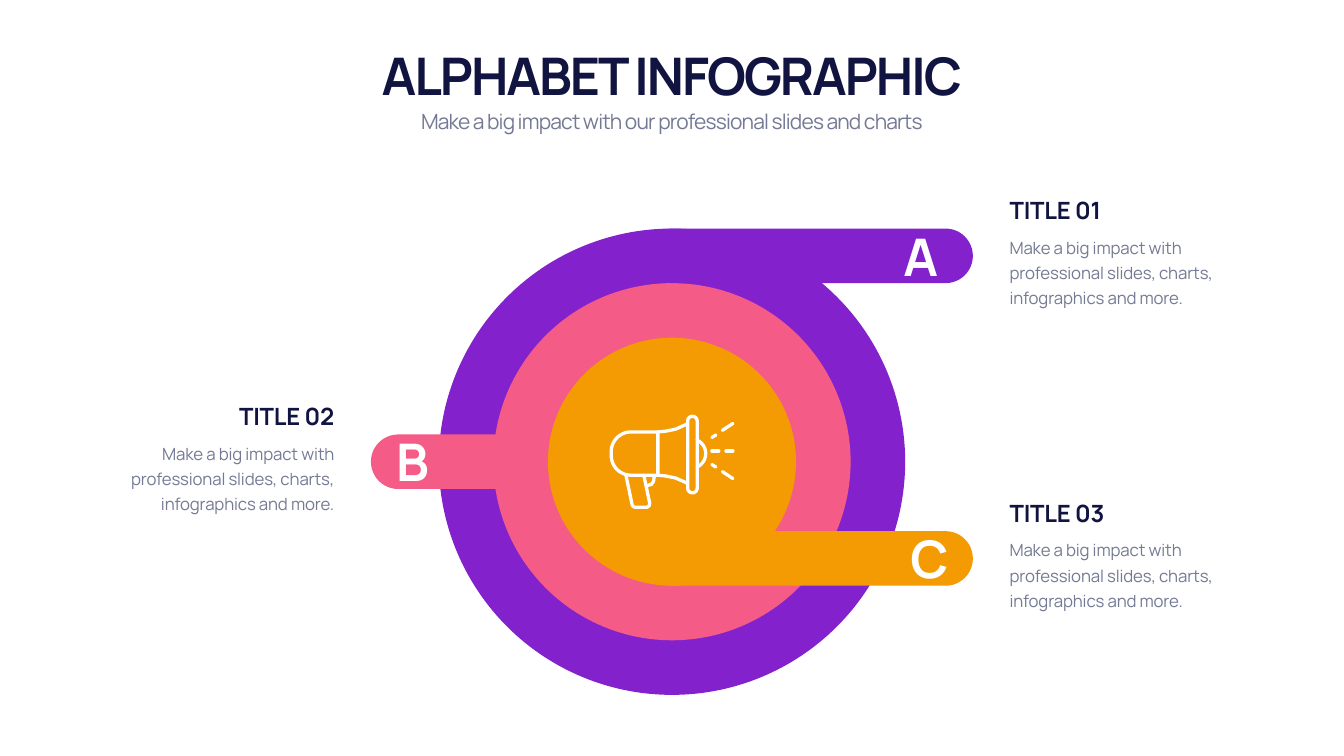
from math import cos, radians, sin

from pptx import Presentation
from pptx.dml.color import RGBColor
from pptx.enum.shapes import MSO_SHAPE
from pptx.enum.text import MSO_ANCHOR, MSO_AUTO_SIZE, PP_ALIGN
from pptx.util import Cm, Pt

NAVY, GREY, WHITE = "111340", "747A94", "FFFFFF"
PURPLE, PINK, ORANGE = "8322CC", "F55B87", "F49A02"
color = RGBColor.from_string


def write(box, place, text, size, hue, bold, spacing, align, anchor, leading=None):
    """Place a text holder (left, top, width, height in cm) and fill it with one run."""
    box.left, box.top, box.width, box.height = [Cm(length) for length in place]
    frame = box.text_frame
    frame.word_wrap = True
    frame.auto_size = MSO_AUTO_SIZE.SHAPE_TO_FIT_TEXT
    frame.vertical_anchor = anchor
    paragraph = frame.paragraphs[0]
    paragraph.alignment = align
    paragraph.space_before = Pt(0)
    if leading:
        paragraph.line_spacing = Pt(leading)
    run = paragraph.add_run()
    run.text = text
    run.font.name = "Manrope"
    run.font.size = Pt(size)
    run.font.bold = bold
    run.font.color.rgb = color(hue)
    run._r.get_or_add_rPr().set("spc", str(round(spacing * 100)))


def arc(x, y, radius, start, end, steps=12):
    """Points along a circular arc, angles in degrees."""
    angles = [radians(start + (end - start) * i / steps) for i in range(steps + 1)]
    return [(x + radius * cos(a), y + radius * sin(a)) for a in angles]


presentation = Presentation()
presentation.slide_width, presentation.slide_height = Cm(67.72), Cm(38.1)
slide = presentation.slides.add_slide(presentation.slide_layouts[0])
shapes = slide.shapes

# Concentric circles, each one band narrower than the last
center_x, center_y, band = 33.86, 23.27, 2.75
outer_radius = 11.75
for ring, hue in enumerate((PURPLE, PINK, ORANGE)):
    radius = outer_radius - ring * band
    disc = shapes.add_shape(MSO_SHAPE.OVAL, Cm(center_x - radius), Cm(center_y - radius),
                            Cm(2 * radius), Cm(2 * radius))
    disc.shadow.inherit = False
    disc.fill.solid()
    disc.fill.fore_color.rgb = color(hue)
    disc.line.fill.background()

# Arms of the letters: left, right, top, colour
arms = [
    (center_x - band / 2, 49.02, center_y - outer_radius, PURPLE),
    (center_x - band / 2, 49.02, center_y + outer_radius - 3 * band, ORANGE),
    (18.69, center_x - outer_radius + 2 * band, center_y - band / 2, PINK),
]
for left, right, top, hue in arms:
    arm = shapes.add_shape(MSO_SHAPE.ROUNDED_RECTANGLE, Cm(left), Cm(top),
                           Cm(right - left), Cm(band))
    arm.adjustments[0] = 0.5
    arm.shadow.inherit = False
    arm.fill.solid()
    arm.fill.fore_color.rgb = color(hue)
    arm.line.fill.background()

# The pink arm stays behind the orange disc
pink_arm = arm._element
disc._element.addprevious(pink_arm)

# Megaphone strokes in cm from the left end of its axis
axis_x, axis_y = 30.71, 22.86
bell = [(2.44, -1.09), (2.84, -1.13), (3.33, -1.23), (3.71, -1.4), (3.94, -1.5)]
strokes = [
    [(2.44, -1.09), *arc(1.08, -0.1, 0.99, 270, 180), *arc(1.08, 0.1, 0.99, 180, 90),
     (2.44, 1.09), (2.44, -1.09)],
    bell,
    [(x, -y) for x, y in bell],
    [*arc(4.18, -1.64, 0.24, 180, 360), *arc(4.18, 1.74, 0.24, 0, 180), (3.94, -1.64)],
    arc(4.1, 0, 0.75, -65, 65),
    [(0.83, 1.09), (1.14, 2.57), (1.18, 2.66), (1.28, 2.7), (1.9, 2.7),
     (2.0, 2.63), (2.03, 2.51), (1.73, 1.09)],
    [(1.93, 1.6), (2.12, 1.55), (2.22, 1.4), (2.25, 1.17)],
]
ray_axis = -0.13
for near, far in (((5.16, 0.68), (5.36, 0.81)), ((5.69, 1.04), (6.22, 1.39))):
    for side in (-1, 1):
        strokes.append([(x, ray_axis + side * y) for x, y in (near, far)])
for start, end in ((5.16, 5.51), (5.87, 6.22)):
    strokes.append([(start, ray_axis), (end, ray_axis)])

outline = None
for stroke in strokes:
    points = [(Cm(axis_x + x), Cm(axis_y + y)) for x, y in stroke]
    if outline is None:
        outline = shapes.build_freeform(*points[0])
    else:
        outline.move_to(*points[0])
    outline.add_line_segments(points[1:], close=False)
megaphone = outline.convert_to_shape()
megaphone.shadow.inherit = False
megaphone.fill.background()
megaphone.line.color.rgb = color(WHITE)
megaphone.line.width = Pt(4.7)
megaphone.line._get_or_add_ln().set("cap", "rnd")

# Heading
write(shapes.title, (4.22, 1.93, 59.26, 3.51), "ALPHABET INFOGRAPHIC",
      74, NAVY, True, -2.9, PP_ALIGN.CENTER, MSO_ANCHOR.BOTTOM, 94)
write(slide.placeholders[1], (4.22, 5.11, 59.26, 1.68),
      "Make a big impact with our professional slides and charts",
      30, GREY, False, -1.2, PP_ALIGN.CENTER, MSO_ANCHOR.TOP, 42)

# Letters on the arms
for letter, left, top in (("A", 44.7, 11.18), ("C", 45.14, 26.39), ("B", 19.1, 21.51)):
    write(shapes.add_textbox(0, 0, 0, 0), (left, top, 3.38, 3.43), letter,
          74, WHITE, True, -2.9, PP_ALIGN.CENTER, MSO_ANCHOR.MIDDLE)

# Captions beside the arms
captions = [
    ("TITLE 02", 4.17, 20.12, PP_ALIGN.RIGHT),
    ("TITLE 01", 50.62, 9.75, PP_ALIGN.LEFT),
    ("TITLE 03", 50.62, 24.99, PP_ALIGN.LEFT),
]
for caption, left, top, align in captions:
    write(shapes.add_textbox(0, 0, 0, 0), (left, top, 12.92, 1.7), caption,
          34, NAVY, True, -0.3, align, MSO_ANCHOR.BOTTOM)
    write(shapes.add_textbox(0, 0, 0, 0), (left, top + 1.85, 12.92, 4.01),
          "Make a big impact with professional slides, charts, infographics and more.",
          24, GREY, False, -0.2, align, MSO_ANCHOR.TOP, 36)

presentation.save("out.pptx")
